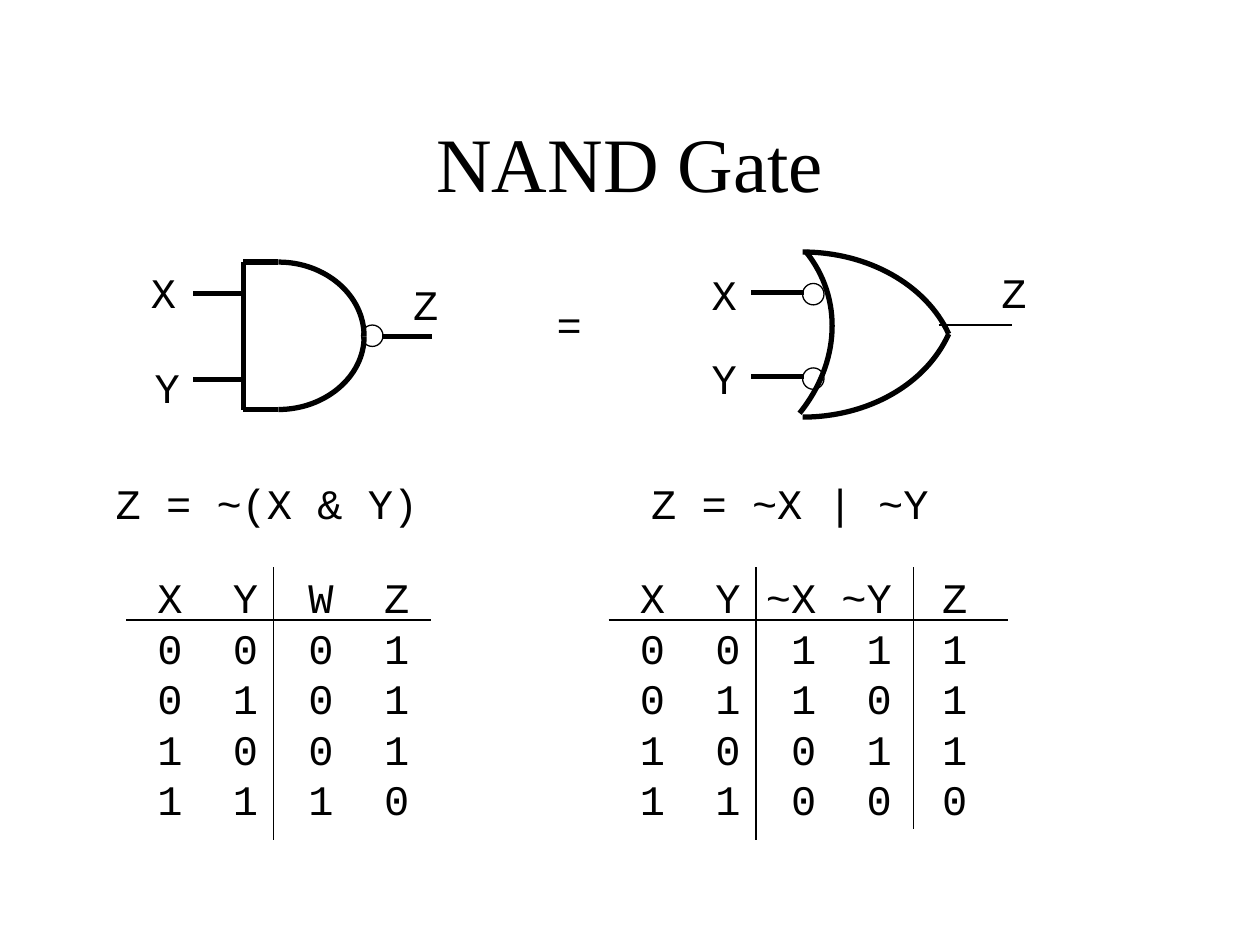
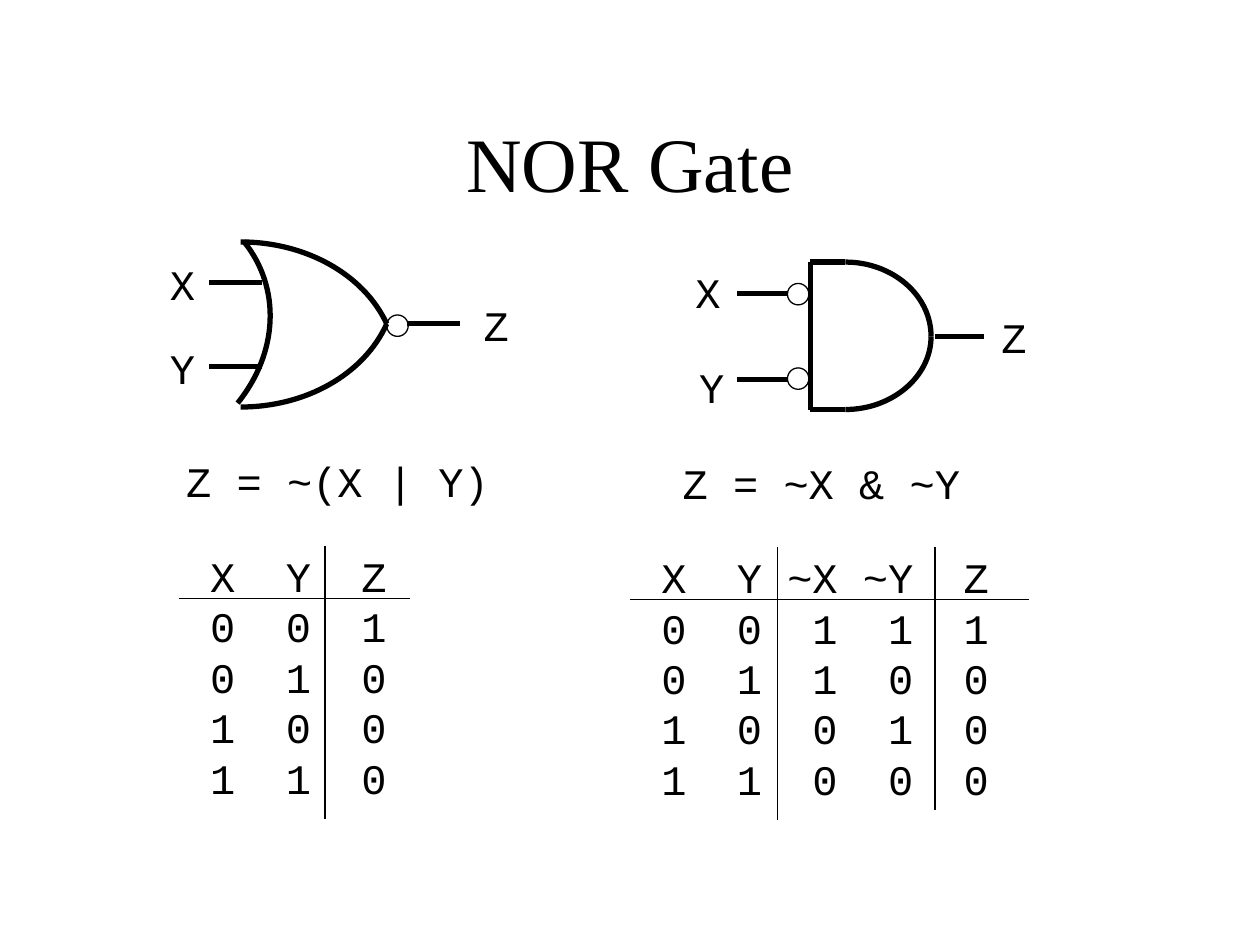
import pptx
import pptx.util
import pptx.dml.color
import pptx.enum.shapes
import pptx.enum.text
import pptx.oxml.ns
from lxml import etree

Inches = pptx.util.Inches
Pt = pptx.util.Pt
qn = pptx.oxml.ns.qn

INK = "000000"
TITLE_FONT = "Times New Roman"
MONO_FONT = "Courier New"
THICK, THIN = 3, 0.75
BUBBLE = 0.17
CHAR_W = 0.2
COLUMN_W = 3 * CHAR_W


def rgb(value):
    return pptx.dml.color.RGBColor.from_string(value)


def style_runs(tf, font, size):
    for p in tf.paragraphs:
        for r in p.runs:
            r.font.name = font
            r.font.size = Pt(size)
            r.font.color.rgb = rgb(INK)


def style_line(sp, weight):
    sp.line.color.rgb = rgb(INK)
    sp.line.width = Pt(weight)


def style_outline(sp, weight):
    sp.shadow.inherit = False
    sp.fill.background()
    style_line(sp, weight)


def add_title(s, text):
    sp = s.shapes.add_textbox(Inches(0.75), Inches(0.66), Inches(8.5), Inches(1.25))
    tf = sp.text_frame
    tf.word_wrap = True
    tf.vertical_anchor = pptx.enum.text.MSO_ANCHOR.MIDDLE
    tf.text = text
    tf.paragraphs[0].alignment = pptx.enum.text.PP_ALIGN.CENTER
    style_runs(tf, TITLE_FONT, 44)


def add_label(s, x, y, text):
    width = CHAR_W * (len(text) + 1)
    sp = s.shapes.add_textbox(Inches(x), Inches(y), Inches(width), Inches(0.5))
    tf = sp.text_frame
    tf.word_wrap = False
    tf.text = text
    style_runs(tf, MONO_FONT, 24)


def add_wire(s, x1, y1, x2, y2, weight=THICK):
    sp = s.shapes.add_connector(
        pptx.enum.shapes.MSO_CONNECTOR.STRAIGHT,
        Inches(x1), Inches(y1), Inches(x2), Inches(y2))
    style_line(sp, weight)
    etree.SubElement(sp._element.spPr, qn("a:effectLst"))


def add_bubble(s, x, y):
    sp = s.shapes.add_shape(
        pptx.enum.shapes.MSO_SHAPE.OVAL,
        Inches(x), Inches(y), Inches(BUBBLE), Inches(BUBBLE))
    style_outline(sp, THIN)


def add_curve(s, left, top, points, apex, rotation=0):
    track = [(Inches(left + x), Inches(top + y)) for x, y in points + [apex]]
    builder = s.shapes.build_freeform(*track[0])
    builder.add_line_segments(track[1:], close=False)
    sp = builder.convert_to_shape()
    outline = next(sp._element.iter(qn("a:path")))
    *controls, corner = outline.findall(qn("a:lnTo"))
    outline.remove(corner)
    curve = etree.SubElement(outline, qn("a:cubicBezTo"))
    for control in controls:
        curve.append(control[0])
        outline.remove(control)
    sp.rotation = rotation
    style_outline(sp, THICK)


def and_gate(s, left, top, inverted_inputs):
    for y, mid_y in ((0, 0.26), (1.17, 0.91)):
        add_curve(s, left, top, [(0.28, y), (0.65, y), (0.96, mid_y), (0.96, 0.59)],
                  (0.28, 0.59))
        add_wire(s, left + 0.28, top + y, left, top + y)
    add_wire(s, left, top, left, top + 1.17)

    wire_end = left - 0.18 if inverted_inputs else left
    wire_start = wire_end - 0.4
    for name, y, dx, dy in (("X", 0.25, 0.43, 0.26), ("Y", 0.93, 0.4, 0.19)):
        add_wire(s, wire_end, top + y, wire_start, top + y)
        add_label(s, wire_start - dx, top + y - dy, name)

    if inverted_inputs:
        for y in (0.17, 0.84):
            add_bubble(s, left - 0.18, top + y)
        add_wire(s, left + 1.38, top + 0.59, left + 0.99, top + 0.59)
        add_label(s, left + 1.42, top + 0.34, "Z")
    else:
        add_bubble(s, left + 0.94, top + 0.5)
        add_wire(s, left + 1.5, top + 0.59, left + 1.1, top + 0.59)
        add_label(s, left + 1.25, top + 0.08, "Z")


def or_gate(s, left, top, inverted_inputs):
    for y, mid_y, apex_y in ((0, 0.26, 0.99), (1.31, 1.05, 0.32)):
        add_curve(s, left, top, [(0, y), (0.52, y), (0.98, mid_y), (1.16, 0.65)],
                  (0, apex_y))
    add_curve(s, left - 0.59, top + 0.05,
              [(0.23, 0), (0.7, 0.1), (1, 0.52), (1, 1.03)], (0, 0.98), 38.9)

    wire_end = left + 0.01 if inverted_inputs else left + 0.17
    wire_start = wire_end - 0.42
    for name, y in (("X", 0.32), ("Y", 0.99)):
        add_wire(s, wire_end, top + y, wire_start, top + y)
        add_label(s, wire_start - 0.41, top + y - 0.24, name)
        if inverted_inputs:
            add_bubble(s, left, top + y - 0.07)

    if inverted_inputs:
        add_wire(s, left + 1.08, top + 0.58, left + 1.66, top + 0.58, THIN)
        add_label(s, left + 1.48, top + 0.07, "Z")
    else:
        add_bubble(s, left + 1.16, top + 0.58)
        add_wire(s, left + 1.74, top + 0.65, left + 1.32, top + 0.65)
        add_label(s, left + 1.83, top + 0.41, "Z")


def truth_table(s, left, top, width, rows, rules):
    count = len(rows[0].split())
    sp = s.shapes.add_textbox(
        Inches(left + 0.15), Inches(top - 0.01),
        Inches(COLUMN_W * count - 0.2), Inches(2.1))
    tf = sp.text_frame
    tf.word_wrap = True
    tf.margin_right = 0
    tf.text = "\n".join("\t".join(row.split()) for row in rows)
    for p in tf.paragraphs:
        tabs = etree.SubElement(p._p.get_or_add_pPr(), qn("a:tabLst"))
        for c in range(1, count):
            etree.SubElement(tabs, qn("a:tab"), algn="r",
                             pos=str(Inches(CHAR_W + COLUMN_W * c)))
    style_runs(tf, MONO_FONT, 24)
    add_wire(s, left, top + 0.42, left + width, top + 0.42, THIN)
    for x, height in rules:
        add_wire(s, left + x, top, left + x, top + height, THIN)


def nand_slide(s):
    add_title(s, "NAND Gate")
    and_gate(s, 1.93, 2.08, inverted_inputs=False)
    or_gate(s, 6.37, 2, inverted_inputs=True)
    add_label(s, 0.82, 3.74, "Z = ~(X & Y)")
    add_label(s, 5.07, 3.74, "Z = ~X | ~Y")
    add_label(s, 4.32, 2.32, "=")
    truth_table(s, 1, 4.5, 2.42,
                ["X Y W Z", "0 0 0 1", "0 1 0 1", "1 0 0 1", "1 1 1 0"],
                [(1.17, 2.17)])
    truth_table(s, 4.83, 4.5, 3.17,
                ["X Y ~X ~Y Z", "0 0 1 1 1", "0 1 1 0 1", "1 0 0 1 1", "1 1 0 0 0"],
                [(1.17, 2.17), (2.42, 2.08)])


def nor_slide(s):
    add_title(s, "NOR Gate")
    or_gate(s, 1.91, 1.92, inverted_inputs=False)
    add_label(s, 1.38, 3.57, "Z = ~(X | Y)")
    truth_table(s, 1.42, 4.33, 1.83,
                ["X Y Z", "0 0 1", "0 1 0", "1 0 0", "1 1 0"],
                [(1.16, 2.17)])
    and_gate(s, 6.43, 2.08, inverted_inputs=True)
    add_label(s, 5.32, 3.58, "Z = ~X & ~Y")
    truth_table(s, 5, 4.34, 3.17,
                ["X Y ~X ~Y Z", "0 0 1 1 1", "0 1 1 0 0", "1 0 0 1 0", "1 1 0 0 0"],
                [(1.17, 2.17), (2.42, 2.09)])


def main():
    prs = pptx.Presentation()
    prs.slide_width = Inches(10)
    prs.slide_height = Inches(7.5)
    for build in (nand_slide, nor_slide):
        build(prs.slides.add_slide(prs.slide_layouts[6]))
    prs.save("out.pptx")


if __name__ == "__main__":
    main()
